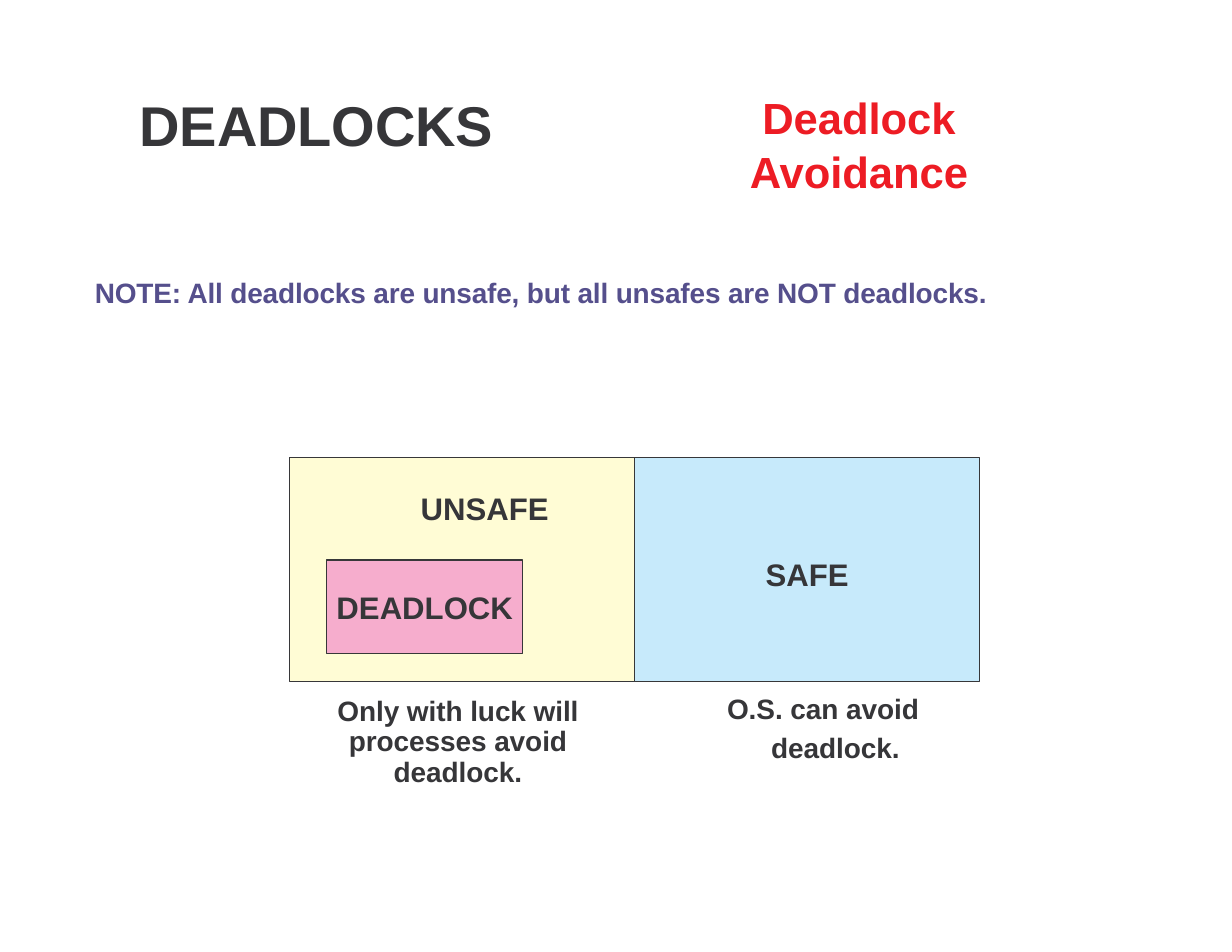
from pptx import Presentation
from pptx.dml.color import RGBColor
from pptx.enum.shapes import MSO_SHAPE
from pptx.enum.text import MSO_ANCHOR, MSO_AUTO_SIZE, PP_ALIGN
from pptx.util import Cm, Pt

RECT = MSO_SHAPE.RECTANGLE
TOP, MIDDLE = MSO_ANCHOR.TOP, MSO_ANCHOR.MIDDLE
LEFT, CENTER = PP_ALIGN.LEFT, PP_ALIGN.CENTER
NO_FIT = MSO_AUTO_SIZE.NONE
TITLE_ONLY = 5
FONT = "Arial"
COLORS = {
    "text": "363639",
    "title": "ED1C24",
    "note": "554F8C",
    "line": "373739",
    "unsafe": "FFFCD5",
    "safe": "C7EAFB",
    "deadlock": "F6ADCD",
}


def rgb(name):
    return RGBColor.from_string(COLORS[name])


def write(sp, text, size=18, color="text", align=LEFT, anchor=TOP,
          inset=0.03, spacing=None, hanging=0, tracking=0):
    """Fill sp with one bold paragraph; inset (top) and hanging are in cm."""
    tf = sp.text_frame
    tf.auto_size = NO_FIT
    tf.word_wrap = True
    tf.vertical_anchor = anchor
    tf.margin_left = tf.margin_right = tf.margin_bottom = 0
    tf.margin_top = Cm(inset)
    p = tf.paragraphs[0]
    p.alignment = align
    p.space_before = Pt(0)
    if spacing:
        p.line_spacing = spacing
    if hanging:
        pPr = p._p.get_or_add_pPr()
        pPr.set("marL", str(Cm(hanging)))
        pPr.set("indent", str(-Cm(hanging)))
    r = p.add_run()
    r.text = text
    r.font.name = FONT
    r.font.size = Pt(size)
    r.font.bold = True
    r.font.color.rgb = rgb(color)
    if tracking:
        r._r.get_or_add_rPr().set("spc", str(tracking))


def add_text(s, x, y, w, h, text, **fmt):
    write(s.shapes.add_textbox(Cm(x), Cm(y), Cm(w), Cm(h)), text, **fmt)


def add_box(s, x, y, w, h, fill):
    sp = s.shapes.add_shape(RECT, Cm(x), Cm(y), Cm(w), Cm(h))
    sp.shadow.inherit = False
    sp.fill.solid()
    sp.fill.fore_color.rgb = rgb(fill)
    sp.line.color.rgb = rgb("line")
    sp.line.width = Pt(0.75)
    return sp


def add_header(s, x, y, w, h):
    """Course topic on the left, slide title on the right."""
    add_text(s, x, y + 0.05, 9, h, "DEADLOCKS", size=36, tracking=-10)
    title = s.shapes.title
    title_w = 5.08
    title.left, title.top = Cm(x + w - title_w), Cm(y)
    title.width, title.height = Cm(title_w), Cm(h)
    write(title, "Deadlock Avoidance", size=28, color="title", align=CENTER,
          spacing=1.04)


def add_states(s, x, y, w, h):
    """Unsafe and safe halves, the deadlock region and the captions below."""
    half = w / 2
    add_box(s, x, y, half, h, "unsafe")
    safe = add_box(s, x + half, y, half, h, "safe")
    write(safe, "SAFE", size=20, align=CENTER, anchor=MIDDLE, inset=0.2)

    deadlock = add_box(s, x + 0.85, y + 2.32, 4.45, 2.12, "deadlock")
    write(deadlock, "DEADLOCK", size=20, align=CENTER, anchor=MIDDLE)
    add_text(s, x + 2.98, y + 0.7, 3.1, 0.91, "UNSAFE", size=20)

    add_text(s, x + 1.02, y + h + 0.21, 5.61, 2.21,
             "Only with luck will processes avoid deadlock.",
             align=CENTER, inset=0.13, spacing=Pt(19.5), tracking=-5)
    add_text(s, x + half + 2.1, y + h + 0.09, 4.45, 1.75,
             "O.S. can avoid deadlock.",
             spacing=1.15, hanging=1, tracking=-5)


def main():
    prs = Presentation()
    prs.slide_width, prs.slide_height = Cm(27.94), Cm(21.59)
    s = prs.slides.add_slide(prs.slide_layouts[TITLE_ONLY])
    add_header(s, 3.17, 1.98, 18.85, 2.44)
    add_text(s, 2.15, 6.22, 21.5, 0.84,
             "NOTE: All deadlocks are unsafe, but all unsafes are NOT deadlocks.",
             color="note", tracking=-10)
    add_states(s, 6.56, 10.38, 15.66, 5.08)
    prs.save("out.pptx")


if __name__ == "__main__":
    main()
